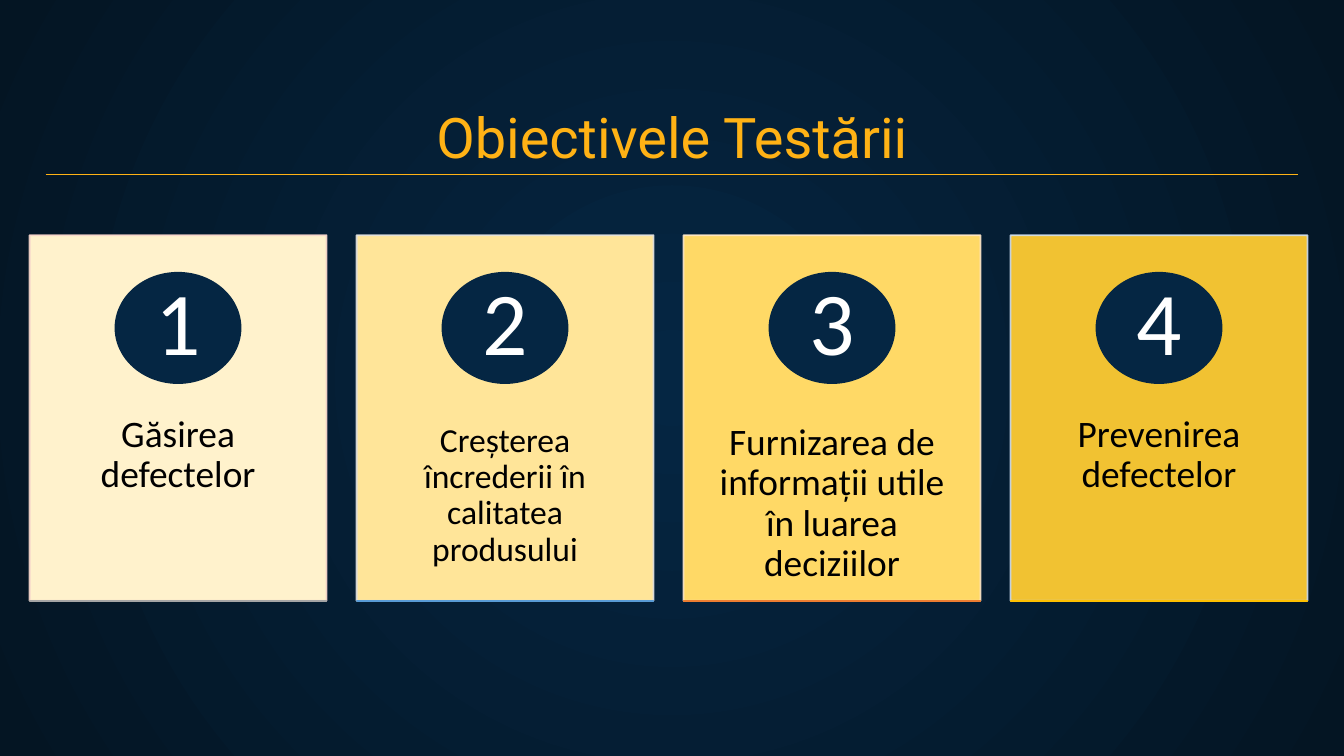
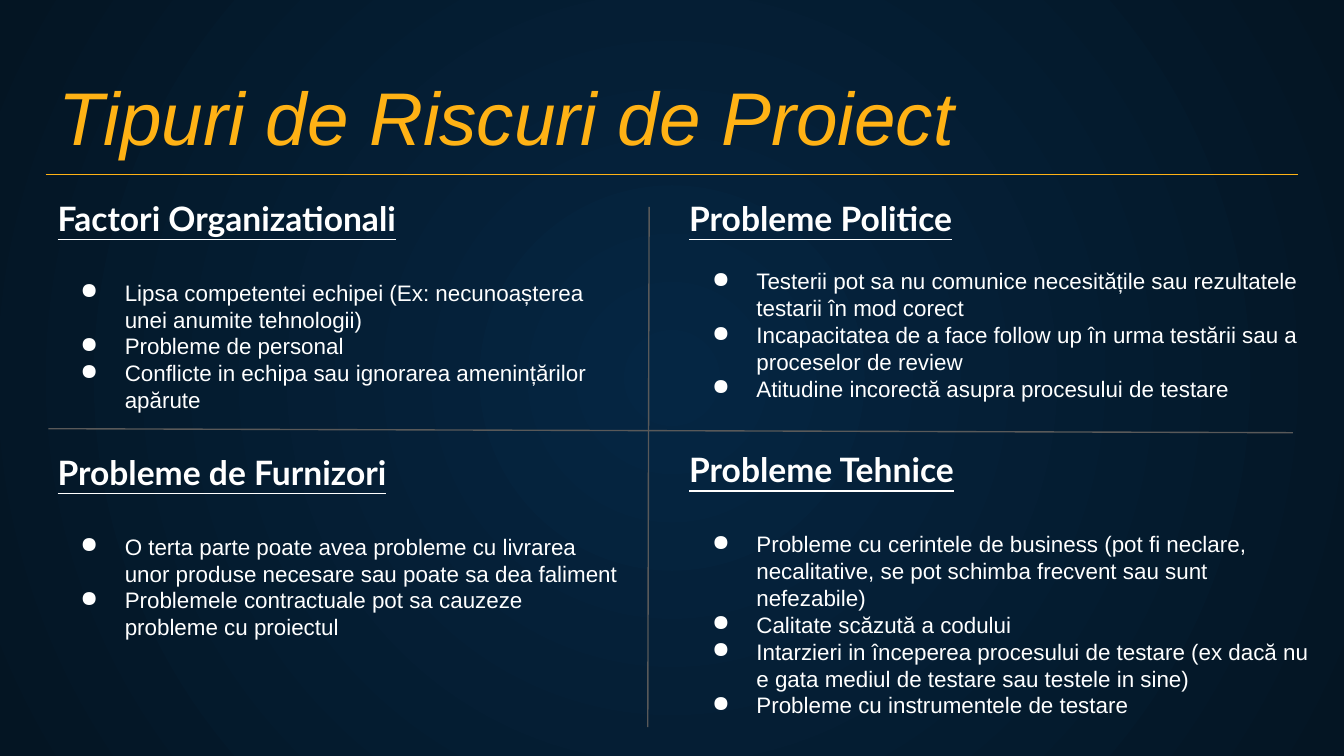
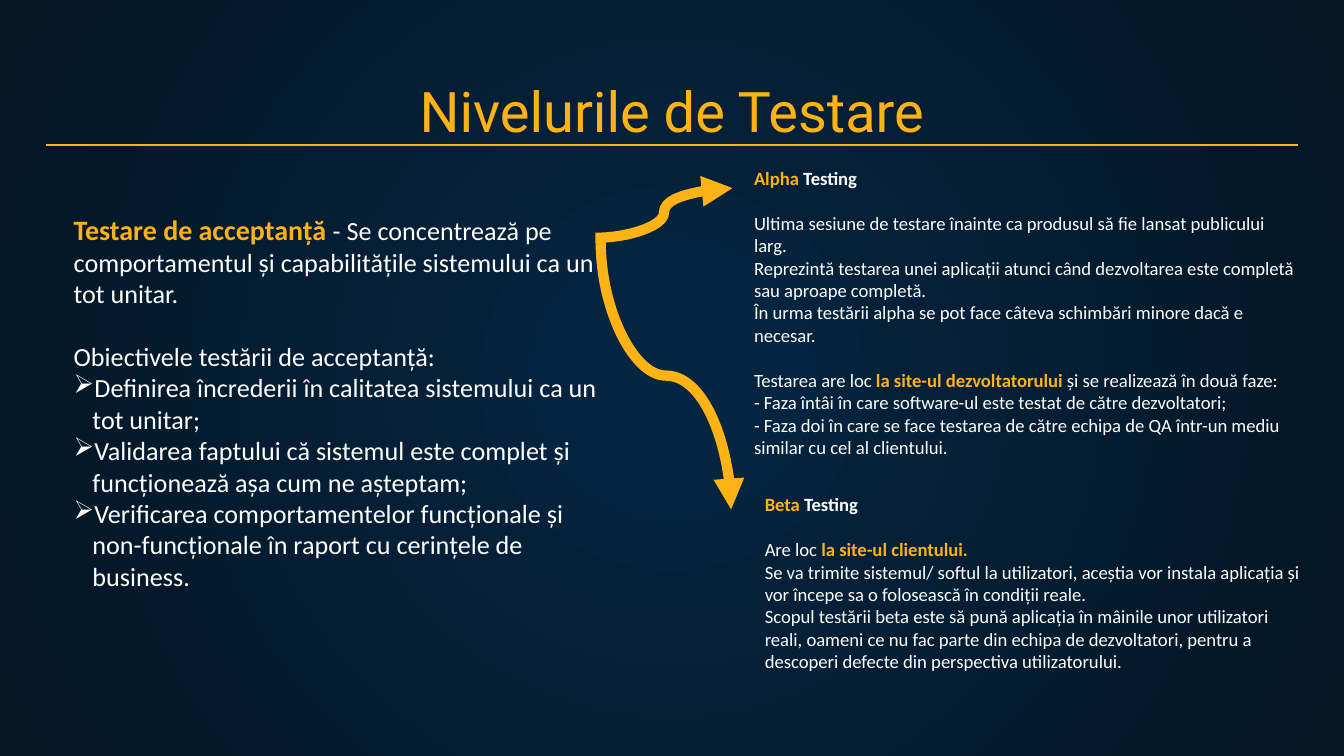
"""Build three slides on software testing: objectives, project risks and acceptance testing."""
from lxml.etree import SubElement
from pptx import Presentation
from pptx.dml.color import RGBColor
from pptx.enum.shapes import MSO_CONNECTOR, MSO_SHAPE
from pptx.enum.text import MSO_ANCHOR, PP_ALIGN
from pptx.oxml.ns import qn
from pptx.util import Inches, Pt

COLORS = {
    "navy": "052643", "night": "041523", "gold": "FFB215", "white": "FFFFFF",
    "black": "000000", "gray": "595959",
}
BULLETS = {"●": (5, 3.3), "➢": (1.4, 1.4)}
COLOR = {name: RGBColor.from_string(value) for name, value in COLORS.items()}

deck = Presentation()
deck.slide_width = Inches(10)
deck.slide_height = deck.slide_width * 9 // 16
CELL = deck.slide_width / 100


def add_text(shapes, area, paragraphs, size, font, color="white", inset=(1, 1),
             anchor=MSO_ANCHOR.TOP, align=PP_ALIGN.LEFT, spacing=None):
    """Add a text box whose paragraphs are (bullet, space before, spans)."""
    frame = shapes.add_textbox(*[round(cells * CELL) for cells in area]).text_frame
    frame.word_wrap = True
    frame.vertical_anchor = anchor
    frame.margin_left = frame.margin_right = round(inset[0] * CELL)
    frame.margin_top = frame.margin_bottom = round(inset[1] * CELL)
    for index, (bullet, before, spans) in enumerate(paragraphs):
        para = frame.add_paragraph() if index else frame.paragraphs[0]
        para.alignment = align
        para.space_before = Pt(before)
        if spacing:
            para.line_spacing = spacing
        if bullet:
            margin, hang = BULLETS[bullet]
            properties = para._p.get_or_add_pPr()
            properties.set("marL", str(round(margin * CELL)))
            properties.set("indent", str(round(-hang * CELL)))
            tint = SubElement(properties, qn("a:buClr"))
            SubElement(tint, qn("a:srgbClr"), val=COLORS["white"])
            SubElement(properties, qn("a:buChar"), char=bullet)
        for text, marks in spans:
            span = para.add_run()
            span.text = text
            span.font.name = marks.get("font", font)
            span.font.size = Pt(marks.get("size", size))
            span.font.bold = marks.get("bold", False)
            span.font.italic = marks.get("italic", False)
            span.font.underline = marks.get("underline", False)
            span.font.color.rgb = COLOR[marks.get("color", color)]


def add_line(page, ends, color="gold", width=0.75, kind=MSO_CONNECTOR.STRAIGHT):
    """Add a shadowless connector between two grid points."""
    line = page.shapes.add_connector(kind, *[round(cells * CELL) for cells in ends])
    line.line.color.rgb = COLOR[color]
    line.line.width = Pt(width)
    SubElement(line._element.spPr, qn("a:effectLst"))
    return line


TITLES = [
    ("Obiectivele Testării", (3.4, 7, 93.2, 6.6), 13, 30, "Roboto", PP_ALIGN.CENTER, {}),
    ("Tipuri de Riscuri de Proiect", (3.4, 6.4, 69.8, 6.6), 13, 40, "Arial", PP_ALIGN.LEFT,
     {"italic": True}),
    ("Nivelurile de Testare", (3.4, 5.1, 93.2, 6.6), 10.8, 30, "Roboto", PP_ALIGN.CENTER, {}),
]
pages = []
for title, area, rule, size, font, align, marks in TITLES:
    page = deck.slides.add_slide(deck.slide_layouts[6])
    fill = page.background.fill
    fill.gradient()
    for stop, name in zip(fill.gradient_stops, ("navy", "night")):
        stop.color.rgb = COLOR[name]
    gradient = page.background._cSld.find(".//" + qn("a:gradFill"))
    gradient.remove(gradient.find(qn("a:lin")))
    circle = SubElement(gradient, qn("a:path"), path="circle")
    SubElement(circle, qn("a:fillToRect"), l="50000", t="50000", r="50000", b="50000")
    add_text(page.shapes, area, [(None, 0, [(title, marks)])], size, font, "gold",
             anchor=MSO_ANCHOR.BOTTOM, align=align, spacing=0.9 if marks else None)
    add_line(page, (3.4, rule, 96.6, rule))
    pages.append(page)
objectives, risks, levels = pages

CARDS = [
    ("Găsirea defectelor", 20, "FFF2CC", "F7D5CB", "A5A5A5"),
    ("Creșterea încrederii în calitatea produsului", 18, "FFE599", "E0E0E0", "599BD5"),
    ("Furnizarea de informații utile în luarea deciziilor", 20, "FFD966", "FFE8CA", "ED7D31"),
    ("Prevenirea defectelor", 20, "F1C232", "CFDEEF", "FFC000"),
]
for index, (goal, size, face, edge, base) in enumerate(CARDS):
    left = 2.2 + 24.33 * index
    card = objectives.shapes.add_group_shape().shapes
    parts = [
        (MSO_SHAPE.RECTANGLE, (left, 17.5, 22.1, 27.2), face, edge),
        (MSO_SHAPE.OVAL, (left + 6.4, 20.3, 9.3, 8.2), COLORS["navy"], COLORS["navy"]),
        (MSO_SHAPE.RECTANGLE, (left, 44.7, 22.1, 0), base, base),
    ]
    for kind, area, inside, outline in parts:
        shape = card.add_shape(kind, *[round(cells * CELL) for cells in area])
        shape.shadow.inherit = False
        shape.fill.solid()
        shape.fill.fore_color.rgb = RGBColor.from_string(inside)
        shape.line.color.rgb = RGBColor.from_string(outline)
        shape.line.width = Pt(1)
        if outline == edge:
            tint = shape.line._ln.find(".//" + qn("a:srgbClr"))
            SubElement(tint, qn("a:alpha"), val="89000")
    add_text(card, (left, 27.9, 22.1, 16.3), [(None, 0, [(goal, {})])], size, "Calibri",
             "black", (2.2, 3.6), align=PP_ALIGN.CENTER, spacing=0.9)
    add_text(card, (left + 7.75, 21.4, 6.6, 5.8), [(None, 0, [(str(index + 1), {})])], 48,
             "Calibri", inset=(0.9, 0.1), anchor=MSO_ANCHOR.MIDDLE,
             align=PP_ALIGN.CENTER, spacing=0.9)

RISKS = [
    ("Factori Organizationali", (3.3, 14.2, 43.9, 24.2), 0.5, 22, [
        "Lipsa competentei echipei (Ex: necunoașterea unei anumite tehnologii)",
        "Probleme de personal",
        "Conflicte in echipa sau ignorarea amenințărilor apărute",
    ]),
    ("Probleme Politice", (50.3, 14.2, 48, 16.4), 0.5, 16, [
        "Testerii pot sa nu comunice necesitățile sau rezultatele testarii în mod corect",
        "Incapacitatea de a face follow up în urma testării sau a proceselor de review",
        "Atitudine incorectă asupra procesului de testare",
    ]),
    ("Probleme de Furnizori", (3.3, 33.1, 43.9, 15.2), 0.5, 22, [
        "O terta parte poate avea probleme cu livrarea unor produse necesare "
        "sau poate sa dea faliment",
        "Problemele contractuale pot sa cauzeze probleme cu proiectul",
    ]),
    ("Probleme Tehnice", (50.3, 32.4, 48.6, 27.6), 1, 22, [
        "Probleme cu cerintele de business (pot fi neclare, necalitative, "
        "se pot schimba frecvent sau sunt nefezabile)",
        "Calitate scăzută a codului",
        "Intarzieri in începerea procesului de testare (ex dacă nu e gata mediul "
        "de testare sau testele in sine)",
        "Probleme cu instrumentele de testare",
    ]),
]
HEADING = {"size": 18, "font": "Lato", "bold": True, "underline": True}
for heading, area, inset, gap, items in RISKS:
    paragraphs = [(None, 0, [(heading, HEADING)])]
    for index, item in enumerate(items):
        paragraphs.append(("●", 0 if index else gap, [(item, {})]))
    add_text(risks.shapes, area, paragraphs, 12, "Arial", inset=(1, inset))
for ends in [(48.3, 15.4, 48.2, 54.1), (3.6, 31.9, 96.2, 32.2)]:
    add_line(risks, ends, "gray")

STRONG = {"bold": True}
ACCENT = {"bold": True, "color": "gold"}
acceptance = [
    (None, 0, [
        ("Testare de acceptanță ", ACCENT | {"size": 15}),
        ("- Se concentrează pe comportamentul și capabilitățile sistemului "
         "ca un tot unitar.", {}),
    ]),
    (None, 17, [("Obiectivele testării de acceptanță:", {})]),
    ("➢", 0, [("Definirea încrederii în calitatea sistemului ca un tot unitar;", {})]),
    ("➢", 0, [("Validarea faptului că sistemul este complet și funcționează "
               "așa cum ne așteptam;", {})]),
    ("➢", 0, [("Verificarea comportamentelor funcționale și non-funcționale "
               "în raport cu cerințele de business.", {})]),
]
beta = [
    (None, 0, [("Beta", ACCENT), (" Testing", STRONG)]),
    (None, 12, [("Are loc ", {}), ("la site-ul clientului.", ACCENT)]),
    (None, 0, [("Se va trimite sistemul/ softul la utilizatori, aceștia vor instala "
                "aplicația și vor începe sa o folosească în condiții reale.", {})]),
    (None, 0, [("Scopul testării beta este să pună aplicația în mâinile unor utilizatori "
                "reali, oameni ce nu fac parte din echipa de dezvoltatori, pentru a "
                "descoperi defecte din perspectiva utilizatorului.", {})]),
]
alpha = [
    (None, 0, [("Alpha", ACCENT), (" Testing", STRONG)]),
    (None, 12, [("Ultima sesiune de testare înainte ca produsul să fie lansat "
                 "publicului larg.", {})]),
    (None, 0, [("Reprezintă testarea unei aplicații atunci când dezvoltarea este "
                "completă sau aproape completă.", {})]),
    (None, 0, [("În urma testării alpha se pot face câteva schimbări minore "
                "dacă e necesar.", {})]),
    (None, 12, [
        ("Testarea are loc ", {}),
        ("la site-ul dezvoltatorului", ACCENT),
        (" și se realizează în două faze:", {}),
    ]),
    (None, 0, [("- Faza întâi în care software-ul este testat de către dezvoltatori;", {})]),
    (None, 0, [("- Faza doi în care se face testarea de către echipa de QA într-un mediu "
                "similar cu cel al clientului.", {})]),
]
add_text(levels.shapes, (4.5, 14.8, 42.4, 30.5), acceptance, 14, "Calibri")
add_text(levels.shapes, (56.2, 36.3, 41.8, 17.6), beta, 10, "Calibri", inset=(0.7, 0.4))
add_text(levels.shapes, (55.4, 14.8, 41.8, 19.7), alpha, 10, "Calibri", inset=(0.7, 0.4),
         anchor=MSO_ANCHOR.BOTTOM)
for ends, turn in [((44.3, 17.7, 54.5, 14), 0), ((59.5, 23.1, 39.6, 32.8), 270)]:
    arrow = add_line(levels, ends, width=5.5, kind=MSO_CONNECTOR.CURVE)
    SubElement(arrow.line._ln, qn("a:tailEnd"), type="triangle")
    if turn:
        arrow._element.spPr.find(qn("a:xfrm")).set("rot", str(turn * 60000))

deck.save("out.pptx")
